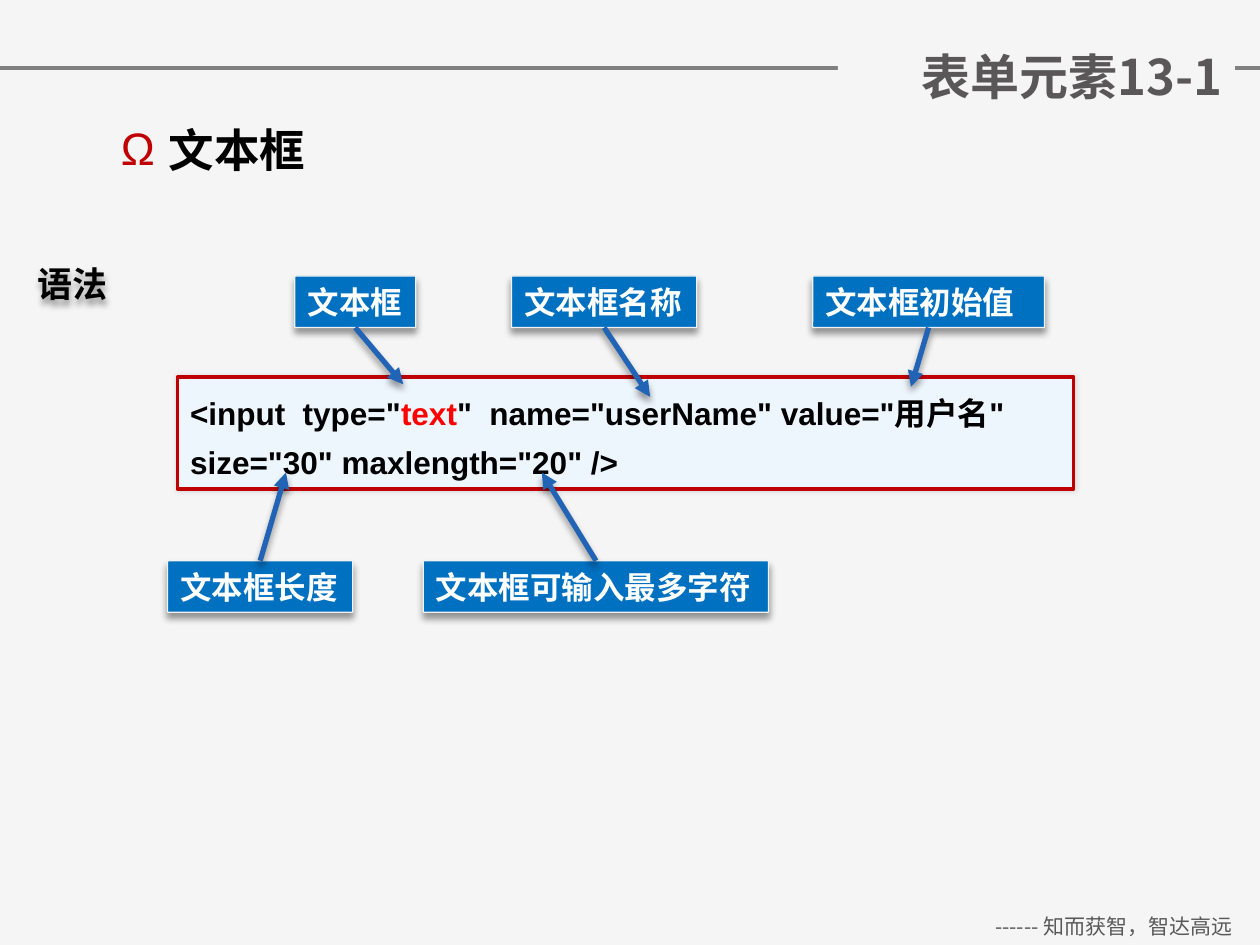
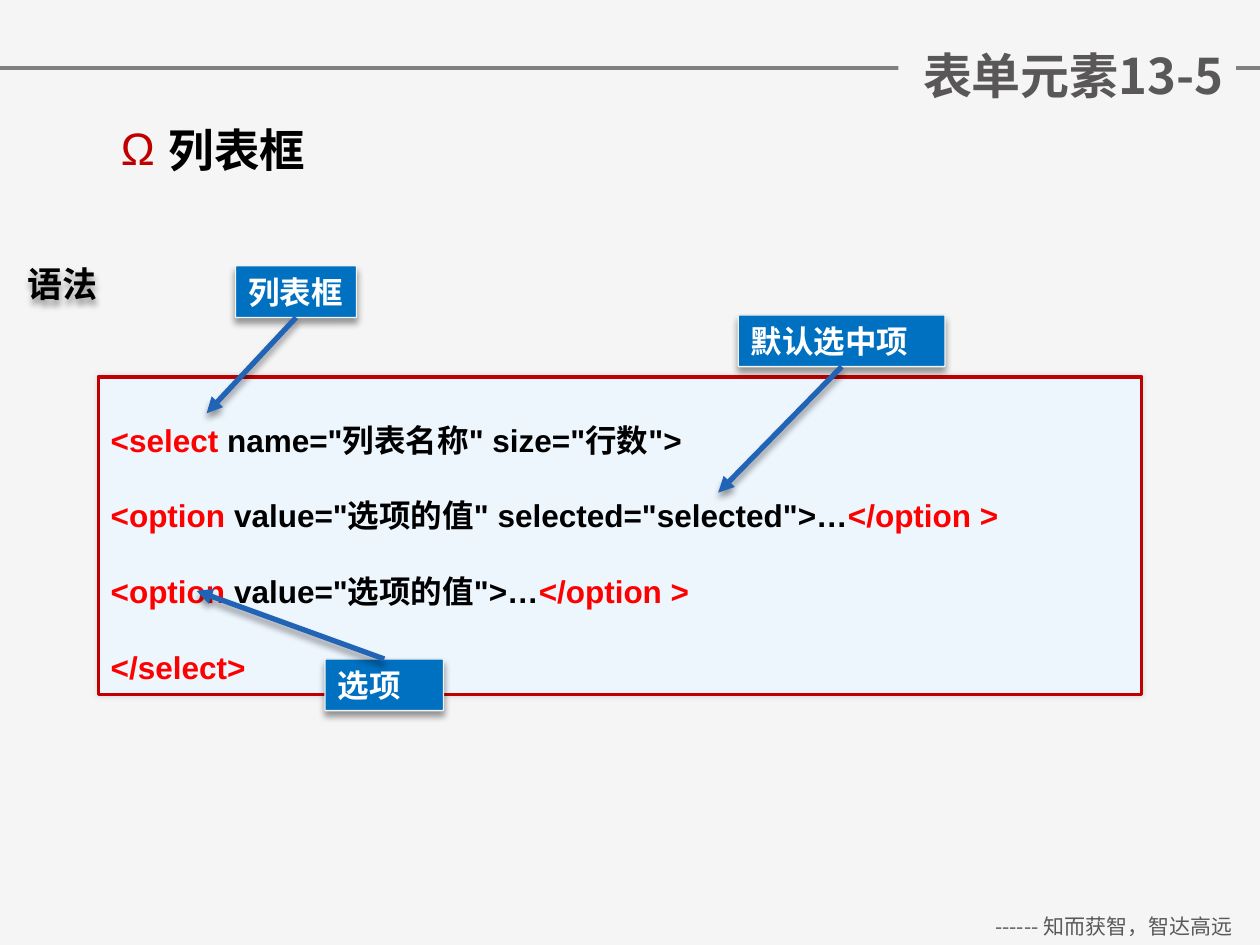
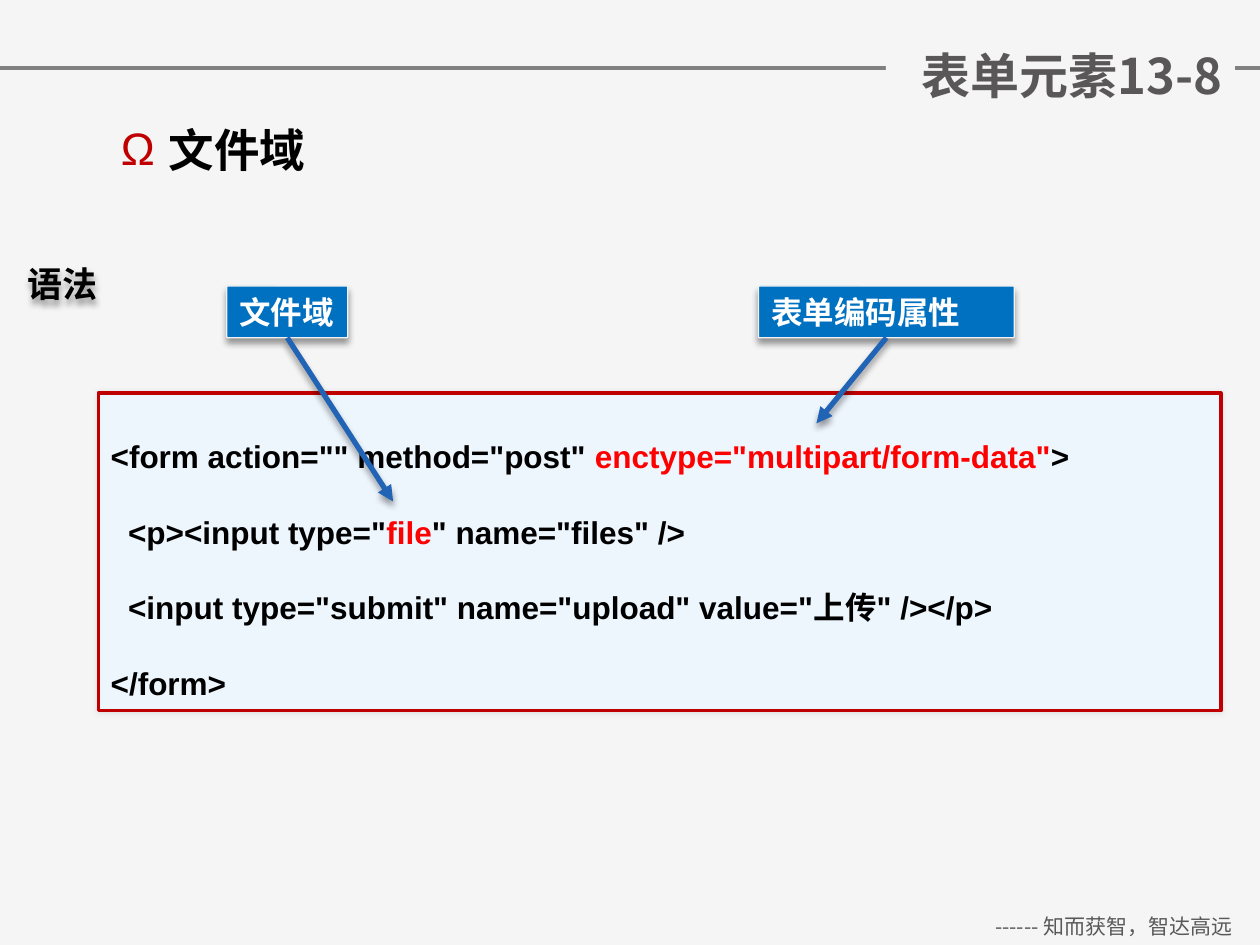
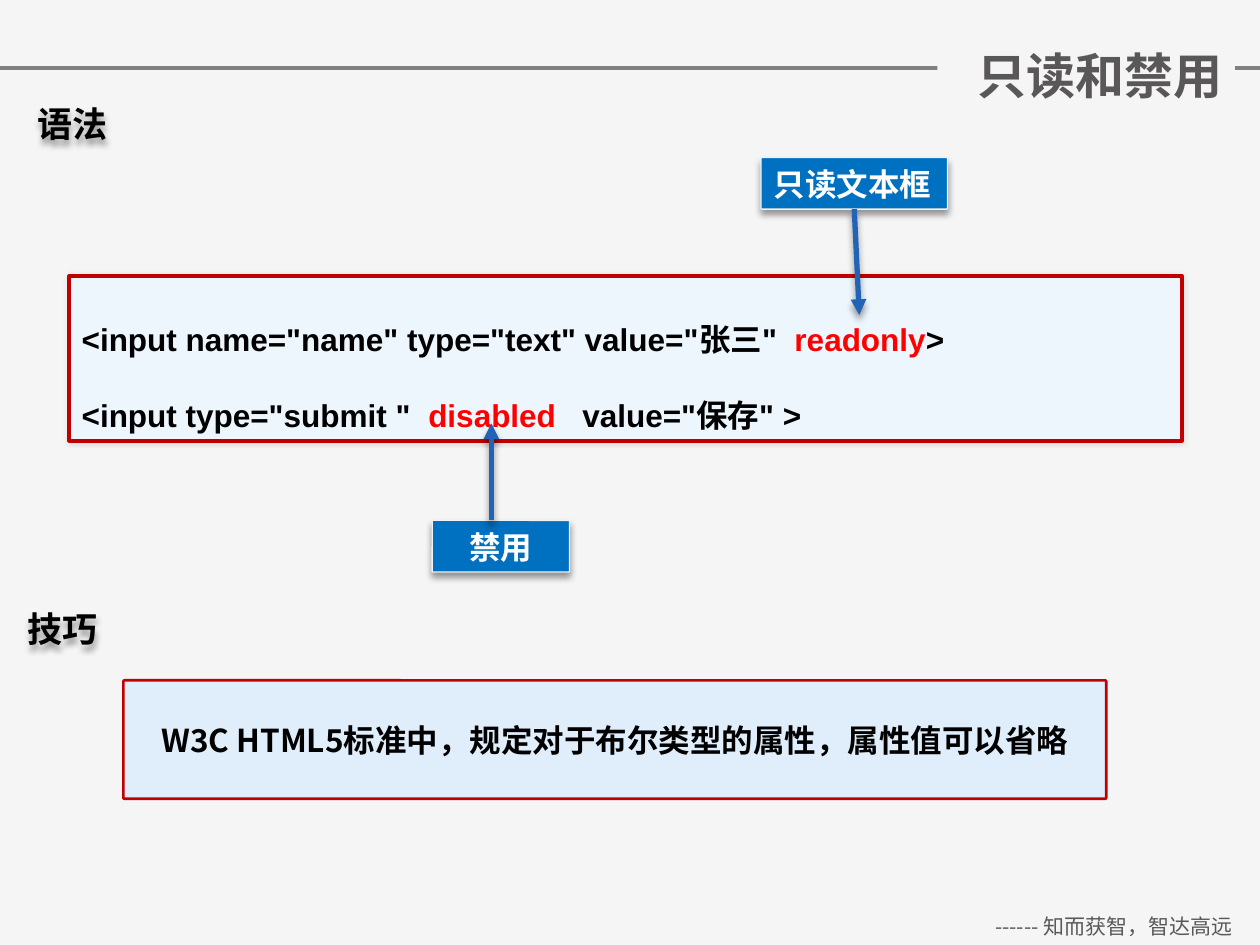
from lxml.etree import SubElement
from pptx import Presentation
from pptx.dml.color import RGBColor
from pptx.enum.shapes import MSO_CONNECTOR, MSO_SHAPE
from pptx.enum.text import MSO_ANCHOR as Anchor, MSO_AUTO_SIZE as AutoSize, PP_ALIGN as Align
from pptx.oxml.ns import qn
from pptx.util import Inches, Pt

COLORS = {
    "background": "F5F5F5", "rule": "808080", "footer": "595959", "title": "595758",
    "text": "000000", "highlight": "FF0000", "border": "C00000", "code": "EDF5FD",
    "tip": "E0EEFB", "label": "0070C0", "label_line": "F2F2F2", "label_text": "FFFFFF",
    "arrow": "2163B4",
}
CJK, LATIN = "Noto Sans CJK SC", "Arial"
LAYOUT_LIST, LAYOUT_TITLE = 1, 5
LABEL_HEIGHT = 0.41


def rgb(name):
    return RGBColor.from_string(COLORS[name])


def write(frame, text, size=18, font=CJK, color="text", bold=True, align=Align.LEFT,
          anchor=Anchor.TOP, spacing=None, wrap=True):
    """Write one paragraph per line; parts between | marks are highlighted."""
    frame.auto_size = AutoSize.NONE
    frame.word_wrap = wrap
    frame.vertical_anchor = anchor
    for index, line in enumerate(text.split("\n")):
        paragraph = frame.add_paragraph() if index else frame.paragraphs[0]
        paragraph.alignment = align
        paragraph.space_before = Pt(0)
        if spacing:
            paragraph.line_spacing = spacing
        for part, piece in enumerate(line.split("|")):
            if not piece:
                continue
            run = paragraph.add_run()
            run.text = piece
            run.font.size, run.font.bold, run.font.name = Pt(size), bold, font
            run.font.color.rgb = rgb("highlight" if part % 2 else color)
            SubElement(run.font._element, qn("a:ea"), typeface=font)


def set_shadow(shape, opacity=0, blur=0, distance=0, angle=0):
    """Replace the theme shadow; an opacity of 0 leaves none."""
    effects = SubElement(shape.element.spPr, qn("a:effectLst"))
    if opacity:
        outer = SubElement(effects, qn("a:outerShdw"), blurRad=str(Pt(blur)),
                           dist=str(Pt(distance)), dir=str(angle * 60000),
                           algn="ctr", rotWithShape="0")
        color = SubElement(outer, qn("a:srgbClr"), val=COLORS["text"])
        SubElement(color, qn("a:alpha"), val=str(opacity * 1000))


def place(shape, left, top, width, height):
    shape.left, shape.top = Inches(left), Inches(top)
    shape.width, shape.height = Inches(width), Inches(height)


class Deck:
    DROP_SHADOW = dict(opacity=40, blur=4, distance=3, angle=90)
    SOFT_SHADOW = dict(opacity=10, blur=3)

    def __init__(self):
        self.presentation = Presentation()
        self.presentation.slide_width = Inches(10)
        self.presentation.slide_height = Inches(7.5)
        self.slide = None

    # Shared frame: background, rule and footer on the slide master
    def build_master(self):
        master = self.presentation.slide_master
        master.background.fill.solid()
        master.background.fill.fore_color.rgb = rgb("background")
        rule = self.line((0, 0.54), (10, 0.54), "rule", 2)
        set_shadow(rule)
        footer = self.text_box(7.68, 7.2, 2.32, 0.3, "------ 知而获智，智达高远", size=12,
                               color="footer", bold=False, align=Align.CENTER)
        for number, shape in enumerate((rule, footer), start=20):
            shape.element.xpath(".//p:cNvPr")[0].set("id", str(number))
            master.shapes.element.append(shape.element)

    def add_slide(self, title, left, width, top=0.31, height=0.57, topic=None):
        layout = self.presentation.slide_layouts[LAYOUT_LIST if topic else LAYOUT_TITLE]
        first = self.slide is None
        self.slide = self.presentation.slides.add_slide(layout)
        if first:
            self.build_master()
        heading = self.slide.shapes.title
        place(heading, left, top, width, height)
        heading.fill.solid()
        heading.fill.fore_color.rgb = rgb("background")
        write(heading.text_frame, title, size=28, color="title", align=Align.RIGHT,
              anchor=Anchor.MIDDLE)
        if topic:
            self.topic(topic)

    def topic(self, text):
        body = self.slide.placeholders[1]
        place(body, 0.86, 0.92, 8.36, 5.63)
        properties = body.text_frame.paragraphs[0]._p.get_or_add_pPr()
        properties.set("marL", str(Inches(0.38)))
        properties.set("indent", str(-Inches(0.38)))
        bullet_color = SubElement(properties, qn("a:buClr"))
        SubElement(bullet_color, qn("a:srgbClr"), val=COLORS["border"])
        SubElement(properties, qn("a:buFont"), typeface=LATIN)
        SubElement(properties, qn("a:buChar"), char="Ω")
        write(body.text_frame, text, size=26)

    # Basic elements
    def text_box(self, left, top, width, height, text, **style):
        box = self.slide.shapes.add_textbox(Inches(left), Inches(top), Inches(width), Inches(height))
        write(box.text_frame, text, **style)
        return box

    def line(self, start, end, color, width):
        connector = self.slide.shapes.add_connector(
            MSO_CONNECTOR.STRAIGHT, *(Inches(value) for value in start + end))
        connector.line.color.rgb = rgb(color)
        connector.line.width = Pt(width)
        return connector

    def panel(self, left, top, width, height, fill, border, border_width, rounding=0, shadow=None):
        shape = self.slide.shapes.add_shape(MSO_SHAPE.ROUNDED_RECTANGLE, Inches(left),
                                            Inches(top), Inches(width), Inches(height))
        shape.adjustments[0] = rounding
        shape.fill.solid()
        shape.fill.fore_color.rgb = rgb(fill)
        shape.line.color.rgb = rgb(border)
        shape.line.width = Pt(border_width)
        set_shadow(shape, **(shadow or {}))
        return shape.text_frame

    # Lesson elements
    def section(self, text, left, top):
        box = self.text_box(left, top, 0.77, 0.44, text, size=20, anchor=Anchor.MIDDLE, wrap=False)
        set_shadow(box, **self.DROP_SHADOW)

    def code(self, left, top, width, height, text, spacing=2.0):
        frame = self.panel(left, top, width, height, "code", "border", 2, shadow=self.SOFT_SHADOW)
        write(frame, text, font=LATIN, spacing=spacing)

    def tip(self, left, top, width, height, text):
        frame = self.panel(left, top, width, height, "tip", "border", 1.5, rounding=0.01)
        write(frame, text, align=Align.CENTER, anchor=Anchor.MIDDLE)

    def label(self, text, left, top, width, target, start_x=None, align=Align.LEFT):
        """Add a label and an arrow from its nearer edge to the target."""
        frame = self.panel(left, top, width, LABEL_HEIGHT, "label", "label_line", 0.75,
                           rounding=0.02, shadow=self.DROP_SHADOW)
        write(frame, text, font=LATIN, color="label_text", align=align, anchor=Anchor.BOTTOM)
        start_y = top + LABEL_HEIGHT if target[1] > top else top
        arrow = self.line((start_x or left + width / 2, start_y), target, "arrow", 3)
        SubElement(arrow.element.spPr.find(qn("a:ln")), qn("a:tailEnd"), type="triangle")
        set_shadow(arrow, **self.DROP_SHADOW)


def main():
    deck = Deck()

    # Text box
    deck.add_slide("表单元素13-1", 6.65, 3.15, top=0.08, height=1.04, topic="文本框")
    deck.section("语法", 0.2, 2.03)
    deck.code(1.41, 2.99, 7.11, 0.89,
              '<input  type="|text|"  name="userName" value="用户名" size="30" maxlength="20" />',
              spacing=1.3)
    for text, left, top, width, target in (
            ("文本框", 2.34, 2.19, 0.96, (3.2, 3.05)),
            ("文本框名称", 4.06, 2.19, 1.47, (5.16, 3.15)),
            ("文本框初始值", 6.45, 2.19, 1.84, (7.23, 3.07)),
            ("文本框长度", 1.33, 4.45, 1.47, (2.27, 3.75)),
            ("文本框可输入最多字符", 3.36, 4.45, 2.74, (4.3, 3.75))):
        deck.label(text, left, top, width, target)

    # List box
    deck.add_slide("表单元素13-5", 7.13, 2.68, topic="列表框")
    deck.section("语法", 0.12, 2.03)
    deck.code(0.78, 2.99, 8.28, 2.52,
              '|<select |name="列表名称" size="行数">\n'
              '|<option |value="选项的值" selected="selected">…|</option >|\n'
              '|<option |value="选项的值">…|</option >|\n'
              '|</select>|')
    deck.label("列表框", 1.87, 2.11, 0.96, (1.64, 3.28))
    deck.label("选项", 2.58, 5.23, 0.94, (1.56, 4.69))
    deck.label("默认选中项", 5.86, 2.5, 1.64, (5.7, 3.91))

    # File field
    deck.add_slide("表单元素13-8", 7.03, 2.77, topic="文件域")
    deck.section("语法", 0.12, 2.03)
    deck.code(0.78, 3.12, 8.91, 2.52,
              '<form action="" method="post" |enctype="multipart/form-data"|>\n'
              '  <p><input type="|file|" name="files" />\n'
              '  <input type="submit" name="upload" value="上传" /></p>\n'
              '</form>')
    deck.label("文件域", 1.8, 2.27, 0.96, (3.12, 3.98))
    deck.label("表单编码属性", 6.02, 2.27, 2.03, (6.48, 3.36))

    # Read-only and disabled
    deck.add_slide("只读和禁用", 7.44, 2.36)
    deck.section("语法", 0.2, 0.76)
    deck.code(0.55, 2.19, 8.83, 1.31,
              '<input name="name" type="text" value="张三"  |readonly|>\n'
              '<input type="submit "  |disabled   |value="保存" >')
    deck.label("只读文本框", 6.04, 1.25, 1.48, (6.82, 2.5))
    deck.label("禁用", 3.43, 4.13, 1.09, (3.9, 3.36), start_x=3.9, align=Align.CENTER)
    deck.tip(0.98, 5.4, 7.8, 0.94, "W3C HTML5标准中，规定对于布尔类型的属性，属性值可以省略")
    deck.section("技巧", 0.12, 4.77)

    deck.presentation.save("out.pptx")


if __name__ == "__main__":
    main()
